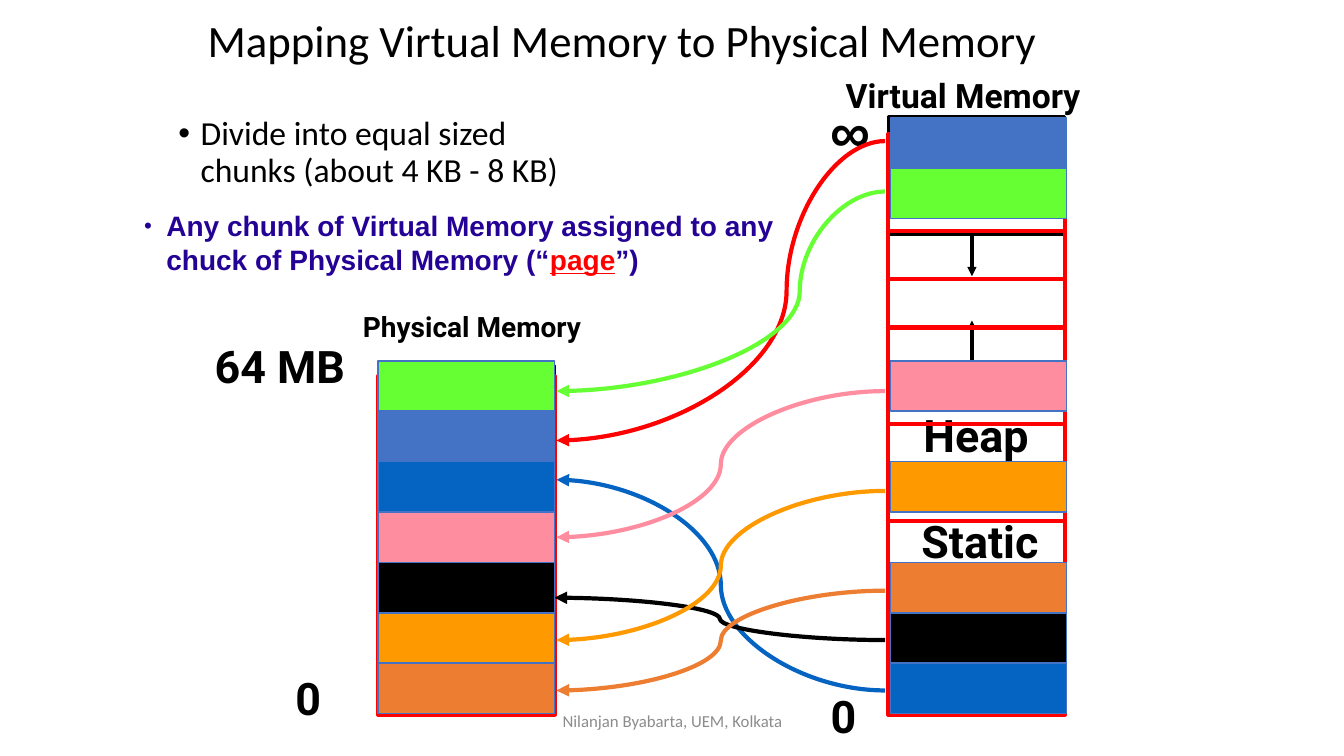
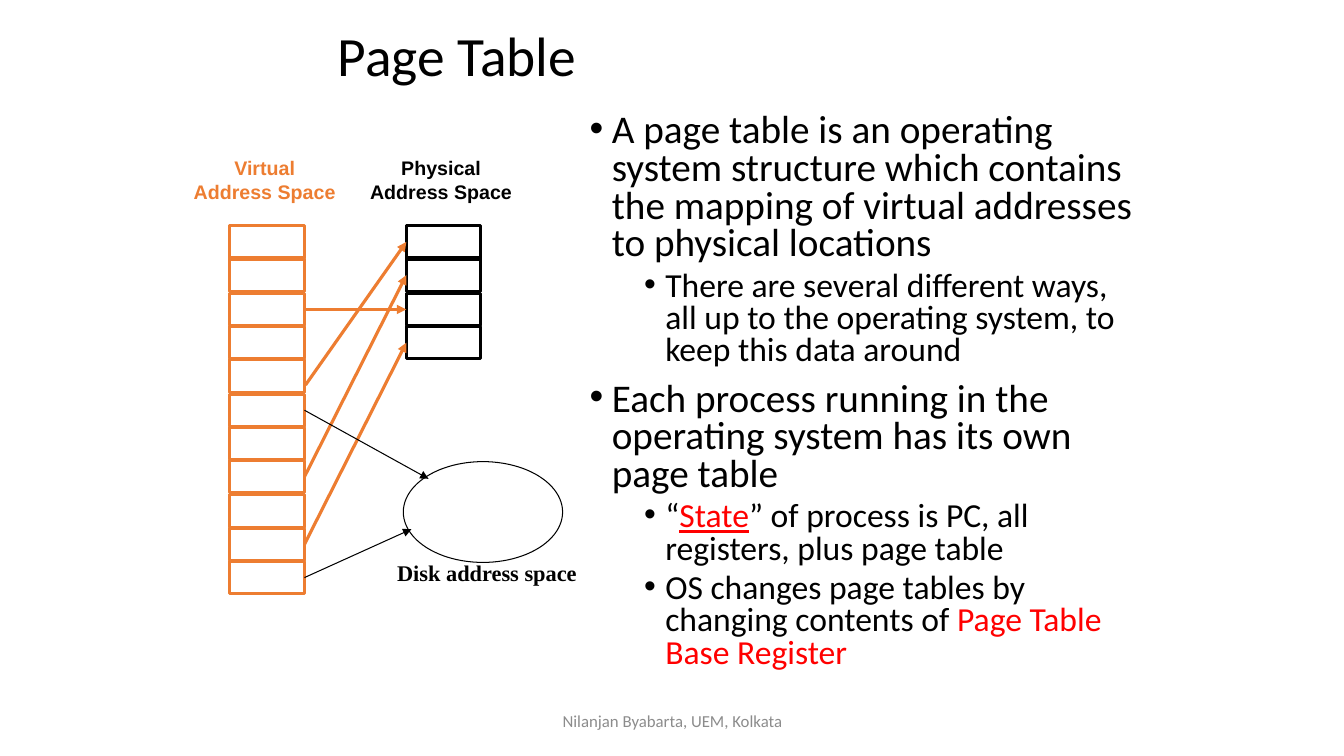
from dataclasses import dataclass, replace

from lxml import etree
from pptx import Presentation
from pptx import util as u
from pptx.dml.color import RGBColor
from pptx.enum import shapes, text
from pptx.oxml.ns import qn

SCALE = 9144


@dataclass(frozen=True)
class Style:
    """Hold the look of one kind of text."""
    size: float
    font: str = "Calibri"
    colour: str = "000000"
    bold: bool = False


@dataclass(frozen=True)
class Theme:
    """Hold the colours and type styles of the deck."""
    black: str = "000000"
    white: str = "FFFFFF"
    red: str = "FF0000"
    orange: str = "ED7D31"
    blue: str = "4472C4"
    deep_blue: str = "0563C1"
    green: str = "66FF33"
    amber: str = "FF9900"
    pink: str = "FF8DA0"
    map_title: Style = Style(32)
    table_title: Style = Style(39.6)
    point: Style = Style(28)
    subpoint: Style = Style(24)
    emphasis: Style = Style(20, "Arial", "250296", True)
    segment: Style = Style(32, "Roboto", bold=True)
    memory: Style = Style(24, "Roboto", bold=True)
    small_memory: Style = Style(20, "Roboto", bold=True)
    infinity: Style = Style(40, "Arial", bold=True)
    space: Style = Style(14, "Arial", bold=True)
    disk: Style = Style(16, "Times New Roman", bold=True)
    footer: Style = Style(12, colour="8C8C8C")


@dataclass(frozen=True)
class Bullet:
    """Hold the indent and spacing of one list level."""
    margin: int
    hanging: int
    spacing: float
    before: int = 0
    percent: int = 100


@dataclass(frozen=True)
class Chunk:
    """Hold one chunk's places in both memories and its curve."""
    colour: str
    virtual_top: int
    physical_slot: int
    start: int
    end: int
    bend: float = 0.5
    curve: str = ""
    tip: int = 552


THEME = Theme()
CHUNKS = (
    Chunk(THEME.blue, 117, 1, 140, 437, 0.3, THEME.red),
    Chunk(THEME.green, 167, 0, 190, 388, 0.26),
    Chunk(THEME.deep_blue, 658, 2, 685, 476),
    Chunk(THEME.black, 608, 4, 635, 593, tip=550),
    Chunk(THEME.amber, 458, 5, 487, 635),
    Chunk(THEME.pink, 358, 3, 388, 533),
    Chunk(THEME.orange, 558, 6, 586, 685),
)


def px(length):
    """Turn px into EMU."""
    return u.Emu(length * SCALE)


def rgb(colour):
    """Turn a hex string into a colour."""
    return RGBColor.from_string(colour)


def write(paragraph, spans, style):
    """Write plain or (text, colour, underline) spans into a paragraph."""
    for span in spans:
        words, colour, underline = (span, style.colour, False) if isinstance(span, str) else span
        for number, line in enumerate(words.split("\v")):
            if number:
                paragraph.add_line_break()
            run = paragraph.add_run()
            run.text = line
            run.font.size = u.Pt(style.size)
            run.font.name = style.font
            run.font.bold = style.bold
            run.font.underline = underline
            run.font.color.rgb = rgb(colour)


def add_box(slide, box, insets=(10, 5), anchor=text.MSO_ANCHOR.TOP):
    """Add an empty wrapping text box and return its frame."""
    frame = slide.shapes.add_textbox(*map(px, box)).text_frame
    frame.word_wrap = True
    frame.vertical_anchor = anchor
    frame.margin_left = frame.margin_right = px(insets[0])
    frame.margin_top = frame.margin_bottom = px(insets[1])
    return frame


def add_label(slide, box, lines, style, align=text.PP_ALIGN.LEFT):
    """Add a label that does not wrap."""
    frame = add_box(slide, box)
    frame.word_wrap = False
    frame.auto_size = text.MSO_AUTO_SIZE.SHAPE_TO_FIT_TEXT
    for number, line in enumerate(lines):
        paragraph = frame.add_paragraph() if number else frame.paragraphs[0]
        paragraph.alignment = align
        write(paragraph, [line], style)


def add_list(slide, box, items, insets=(10, 5)):
    """Add bulleted (spans, style, bullet) items."""
    frame = add_box(slide, box, insets)
    for number, (spans, style, bullet) in enumerate(items):
        paragraph = frame.add_paragraph() if number else frame.paragraphs[0]
        properties = paragraph._p.get_or_add_pPr()
        properties.set("marL", str(px(bullet.margin)))
        properties.set("indent", str(-px(bullet.hanging)))
        etree.SubElement(properties, qn("a:buSzPct"), val=str(bullet.percent * 1000))
        etree.SubElement(properties, qn("a:buFont"), typeface="Arial")
        etree.SubElement(properties, qn("a:buChar"), char="•")
        paragraph.line_spacing = bullet.spacing
        if number:
            paragraph.space_before = u.Pt(bullet.before)
        write(paragraph, spans, style)


def add_shape(slide, box, line, width, fill=None, kind=shapes.MSO_SHAPE.RECTANGLE):
    """Add an outlined shape, filled if a colour is given."""
    shape = slide.shapes.add_shape(kind, *map(px, box))
    shape.shadow.inherit = False
    if fill:
        shape.fill.solid()
        shape.fill.fore_color.rgb = rgb(fill)
    else:
        shape.fill.background()
    shape.line.color.rgb = rgb(line)
    shape.line.width = u.Pt(width)
    return shape


def add_arrow(slide, start, end, colour, width, bend=None):
    """Add a straight arrow, or a curved one if a bend is given."""
    kind = shapes.MSO_CONNECTOR.STRAIGHT if bend is None else shapes.MSO_CONNECTOR.CURVE
    arrow = slide.shapes.add_connector(kind, *map(px, start + end))
    arrow.line.color.rgb = rgb(colour)
    arrow.line.width = u.Pt(width)
    etree.SubElement(arrow.line._get_or_add_ln(), qn("a:tailEnd"), type="triangle")
    properties = arrow._element.spPr
    etree.SubElement(properties, qn("a:effectLst"))
    if bend is not None:
        geometry = properties.find(qn("a:prstGeom"))
        adjustments = geometry.find(qn("a:avLst"))
        if adjustments is None:
            adjustments = etree.SubElement(geometry, qn("a:avLst"))
        etree.SubElement(adjustments, qn("a:gd"), name="adj1", fmla=f"val {round(bend * 100000)}")
    return arrow


def add_slide(deck, title, box, style):
    """Add a blank slide with its title and the shared footer."""
    slide = deck.slides.add_slide(deck.slide_layouts[6])
    heading = add_box(slide, box, anchor=text.MSO_ANCHOR.MIDDLE).paragraphs[0]
    heading.line_spacing = 0.9
    write(heading, [title], style)
    footer = add_box(slide, (442, 695, 450, 40), anchor=text.MSO_ANCHOR.MIDDLE).paragraphs[0]
    footer.alignment = text.PP_ALIGN.CENTER
    write(footer, ["Nilanjan Byabarta, UEM, Kolkata"], THEME.footer)
    return slide


def add_memory_frames(slide):
    """Draw the memory segments and the red page grid."""
    add_shape(slide, (375, 363, 175, 346), THEME.black, 2.25)
    for top in (116, 359, 476, 593):
        add_shape(slide, (881, top, 175, 117), THEME.black, 2.25)
    add_arrow(slide, (964, 359), (964, 318), THEME.black, 2.25)
    add_arrow(slide, (964, 232), (964, 274), THEME.black, 2.25)
    for left, first_top, pages in ((375, 373, 7), (881, 133, 12)):
        for page in range(pages):
            add_shape(slide, (left, first_top + page * 48, 175, 48), THEME.red, 3)


def add_chunks(slide):
    """Draw each chunk in both memories and the curve between them."""
    for chunk in CHUNKS:
        add_arrow(slide, (878, chunk.start), (chunk.tip, chunk.end),
                  chunk.curve or chunk.colour, 3, chunk.bend)
    for chunk in CHUNKS:
        for left, top in ((883, chunk.virtual_top), (375, 358 + chunk.physical_slot * 50)):
            add_shape(slide, (left, top, 175, 50), THEME.blue, 1, chunk.colour)


def build_mapping(deck):
    """Build the slide on mapping virtual to physical memory."""
    slide = add_slide(deck, "Mapping Virtual Memory to Physical Memory",
                      (196, 17, 971, 52), THEME.map_title)
    add_list(slide, (170, 113, 656, 78),
             [(["Divide into equal sized\vchunks (about 4 KB - 8 KB)"], THEME.subpoint,
               Bullet(22, 22, 0.9))], (7, 3))
    for box, label, style in (
        ((283, 660, 45, 63), "0", THEME.segment),
        ((350, 302, 249, 44), "Physical Memory", THEME.small_memory),
        ((814, 91, 60, 77), "∞", THEME.infinity),
        ((829, 69, 263, 50), "Virtual Memory", THEME.memory),
        ((904, 505, 141, 63), "Static", THEME.segment),
        ((906, 400, 129, 63), "Heap", THEME.segment),
        ((203, 331, 151, 63), "64 MB", THEME.segment),
        ((814, 678, 45, 63), "0", THEME.segment),
    ):
        add_label(slide, box, [label], style)
    add_memory_frames(slide)
    add_list(slide, (136, 204, 656, 73),
             [(["Any chunk of Virtual Memory assigned to any chuck of Physical Memory (“",
                ("page", THEME.red, True), "”)"], THEME.emphasis,
               Bullet(22, 22, 1.0, percent=80))], (7, 3))
    add_chunks(slide)


def add_address_space(slide, left, name, rows, colour):
    """Draw a named column of address cells and return the cells."""
    add_label(slide, (left - 46, 150, 161, 57), [name, "Address Space"],
              replace(THEME.space, colour=colour), text.PP_ALIGN.CENTER)
    return [add_shape(slide, (left, 224 + round(row * 100 / 3), 74, 32), colour, 2.25, THEME.white)
            for row in range(rows)]


def add_address_map(slide):
    """Draw both address spaces, the disk and the arrows."""
    frames = add_address_space(slide, 403, "Physical", 4, THEME.black)
    pages = add_address_space(slide, 228, "Virtual", 11, THEME.orange)
    for page, frame in ((2, 2), (4, 0), (7, 1), (9, 3)):
        arrow = add_arrow(slide, (303, 382), (402, 239), THEME.orange, 2.25)
        if page != 4:
            arrow.begin_connect(pages[page], 3)
        arrow.end_connect(frames[frame], 1)
    add_shape(slide, (400, 458, 158, 100), THEME.black, 0.75, kind=shapes.MSO_SHAPE.OVAL)
    add_label(slide, (384, 550, 199, 37), ["Disk address space"], THEME.disk)
    for page, start, end in ((5, (300, 408), (425, 475)), (10, (300, 575), (408, 525))):
        arrow = add_arrow(slide, start, end, THEME.black, 0.75)
        arrow.begin_connect(pages[page], 3)


def build_page_table(deck):
    """Build the slide on the page table."""
    slide = add_slide(deck, "Page Table", (325, 25, 658, 67), THEME.table_title)
    point = THEME.point, Bullet(22, 22, 0.8, 10)
    subpoint = THEME.subpoint, Bullet(75, 21, 0.8, 5)
    add_list(slide, (575, 108, 558, 614), [
        (["A page table is an operating system structure which contains "
          "the mapping of virtual addresses to physical locations"], *point),
        (["There are several different ways, all up to the operating system, "
          "to keep this data around"], *subpoint),
        (["Each process running in the operating system has its own page table"], *point),
        (["“", ("State", THEME.red, True),
          "” of process is PC, all registers, plus page table"], *subpoint),
        (["OS changes page tables by changing contents of ",
          ("Page Table Base Register", THEME.red, False)], *subpoint),
    ])
    add_address_map(slide)


def main():
    """Build and save the deck."""
    deck = Presentation()
    deck.slide_width, deck.slide_height = px(1333), px(750)
    build_mapping(deck)
    build_page_table(deck)
    deck.save("out.pptx")


if __name__ == "__main__":
    main()
